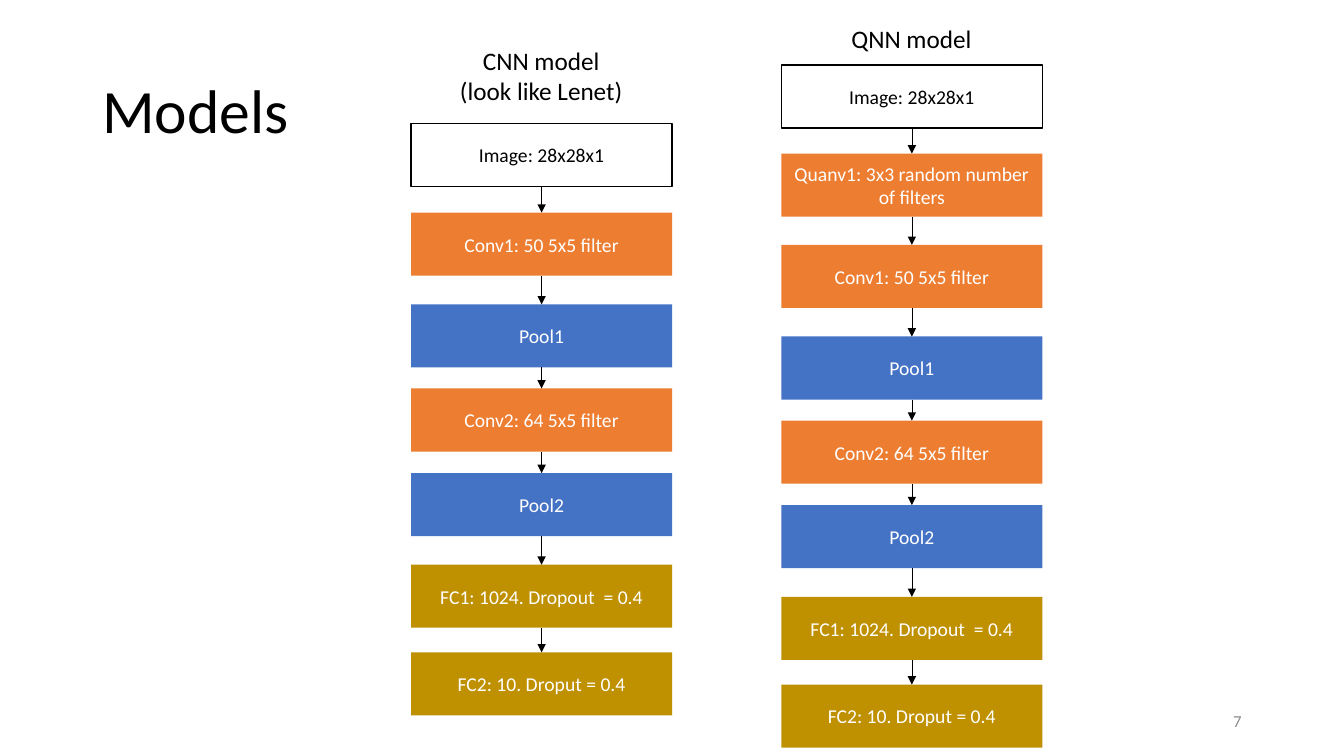
from dataclasses import dataclass
from itertools import pairwise

import pptx
import pptx.dml.color
import pptx.enum.shapes
import pptx.enum.text
import pptx.oxml
import pptx.oxml.ns
import pptx.shapes.autoshape
import pptx.slide
import pptx.text.text
import pptx.util

Cm = pptx.util.Cm
RGBColor = pptx.dml.color.RGBColor
Align = pptx.enum.text.PP_ALIGN
Anchor = pptx.enum.text.MSO_ANCHOR

BLACK = RGBColor(0x00, 0x00, 0x00)
WHITE = RGBColor(0xFF, 0xFF, 0xFF)
GRAY = RGBColor(0x8C, 0x8C, 0x8C)
ORANGE = RGBColor(0xED, 0x7D, 0x31)
BLUE = RGBColor(0x44, 0x72, 0xC4)
GOLD = RGBColor(0xBF, 0x90, 0x00)

FONT = "Calibri"
LAYER_WIDTH = 6.58
LAYER_HEIGHT = 1.59


@dataclass(frozen=True)
class Layer:
    text: str
    top: float
    fill: RGBColor


@dataclass(frozen=True)
class Label:
    text: str
    left: float
    top: float
    width: float
    height: float
    size: int
    align: Align = Align.CENTER
    anchor: Anchor = Anchor.TOP
    color: RGBColor = BLACK
    line_spacing: float = 1.0


@dataclass(frozen=True)
class Model:
    caption: Label
    left: float
    layers: list[Layer]


def shared_layers(top: float) -> list[Layer]:
    """Layers from Conv1 on, which both models have in common."""
    return [
        Layer("Conv1: 50 5x5 filter", top, ORANGE),
        Layer("Pool1", top + 2.31, BLUE),
        Layer("Conv2: 64 5x5 filter", top + 4.43, ORANGE),
        Layer("Pool2", top + 6.56, BLUE),
        Layer("FC1: 1024. Dropout  = 0.4", top + 8.87, GOLD),
        Layer("FC2: 10. Droput = 0.4", top + 11.08, GOLD),
    ]


def write_text(frame: pptx.text.text.TextFrame, text: str, size: int,
               color: RGBColor, align: Align, anchor: Anchor) -> None:
    frame.text = text
    frame.word_wrap = True
    frame.vertical_anchor = anchor
    for paragraph in frame.paragraphs:
        paragraph.alignment = align
        paragraph.font.name = FONT
        paragraph.font.size = pptx.util.Pt(size)
        paragraph.font.color.rgb = color


def draw_label(slide: pptx.slide.Slide, label: Label) -> None:
    box = slide.shapes.add_textbox(
        Cm(label.left), Cm(label.top), Cm(label.width), Cm(label.height))
    write_text(box.text_frame, label.text, label.size, label.color,
               label.align, label.anchor)
    for paragraph in box.text_frame.paragraphs:
        paragraph.line_spacing = label.line_spacing


def draw_layer(slide: pptx.slide.Slide, layer: Layer, left: float) -> None:
    shape = slide.shapes.add_shape(
        pptx.enum.shapes.MSO_SHAPE.RECTANGLE,
        Cm(left), Cm(layer.top), Cm(LAYER_WIDTH), Cm(LAYER_HEIGHT))
    shape.shadow.inherit = False
    shape.fill.solid()
    shape.fill.fore_color.rgb = layer.fill
    outlined = layer.fill == WHITE
    if outlined:
        shape.line.color.rgb = BLACK
        shape.line.width = pptx.util.Pt(1)
    else:
        shape.line.fill.background()
    write_text(shape.text_frame, layer.text, 14, BLACK if outlined else WHITE,
               Align.CENTER, Anchor.MIDDLE)


def draw_arrow(slide: pptx.slide.Slide, x: float, start: float, end: float) -> None:
    arrow = slide.shapes.add_connector(
        pptx.enum.shapes.MSO_CONNECTOR.STRAIGHT, Cm(x), Cm(start), Cm(x), Cm(end))
    arrow.line.color.rgb = BLACK
    arrow.line.width = pptx.util.Pt(0.5)
    namespace = pptx.oxml.ns.nsdecls("a")
    arrow.line._get_or_add_ln().append(
        pptx.oxml.parse_xml(f'<a:tailEnd {namespace} type="triangle"/>'))
    arrow._element.spPr.append(pptx.oxml.parse_xml(f"<a:effectLst {namespace}/>"))


def draw_model(slide: pptx.slide.Slide, model: Model) -> None:
    draw_label(slide, model.caption)
    for layer in model.layers:
        draw_layer(slide, layer, model.left)
    for upper, lower in pairwise(model.layers):
        draw_arrow(slide, model.left + LAYER_WIDTH / 2,
                   upper.top + LAYER_HEIGHT, lower.top)


LABELS = [
    Label("Models", 2.33, 1.02, 29.21, 3.68, 44, Align.LEFT, Anchor.MIDDLE,
          line_spacing=0.9),
    Label("7", 23.92, 17.66, 7.62, 1.01, 12, Align.RIGHT, Anchor.MIDDLE, GRAY),
]

MODELS = [
    Model(
        Label("CNN model\n(look like Lenet)", 10.34, 1.02, 6.6, 1.8, 18),
        10.36,
        [Layer("Image: 28x28x1", 3.11, WHITE), *shared_layers(5.36)],
    ),
    Model(
        Label("QNN model", 19.67, 0.46, 6.6, 1.02, 18),
        19.69,
        [
            Layer("Image: 28x28x1", 1.64, WHITE),
            Layer("Quanv1: 3x3 random number of filters", 3.87, ORANGE),
            *shared_layers(6.17),
        ],
    ),
]

presentation = pptx.Presentation()
presentation.slide_width = Cm(33.87)
presentation.slide_height = Cm(19.05)
slide = presentation.slides.add_slide(presentation.slide_layouts[6])

# Title and page number
for label in LABELS:
    draw_label(slide, label)

# Network diagrams
for model in MODELS:
    draw_model(slide, model)

presentation.save("out.pptx")
